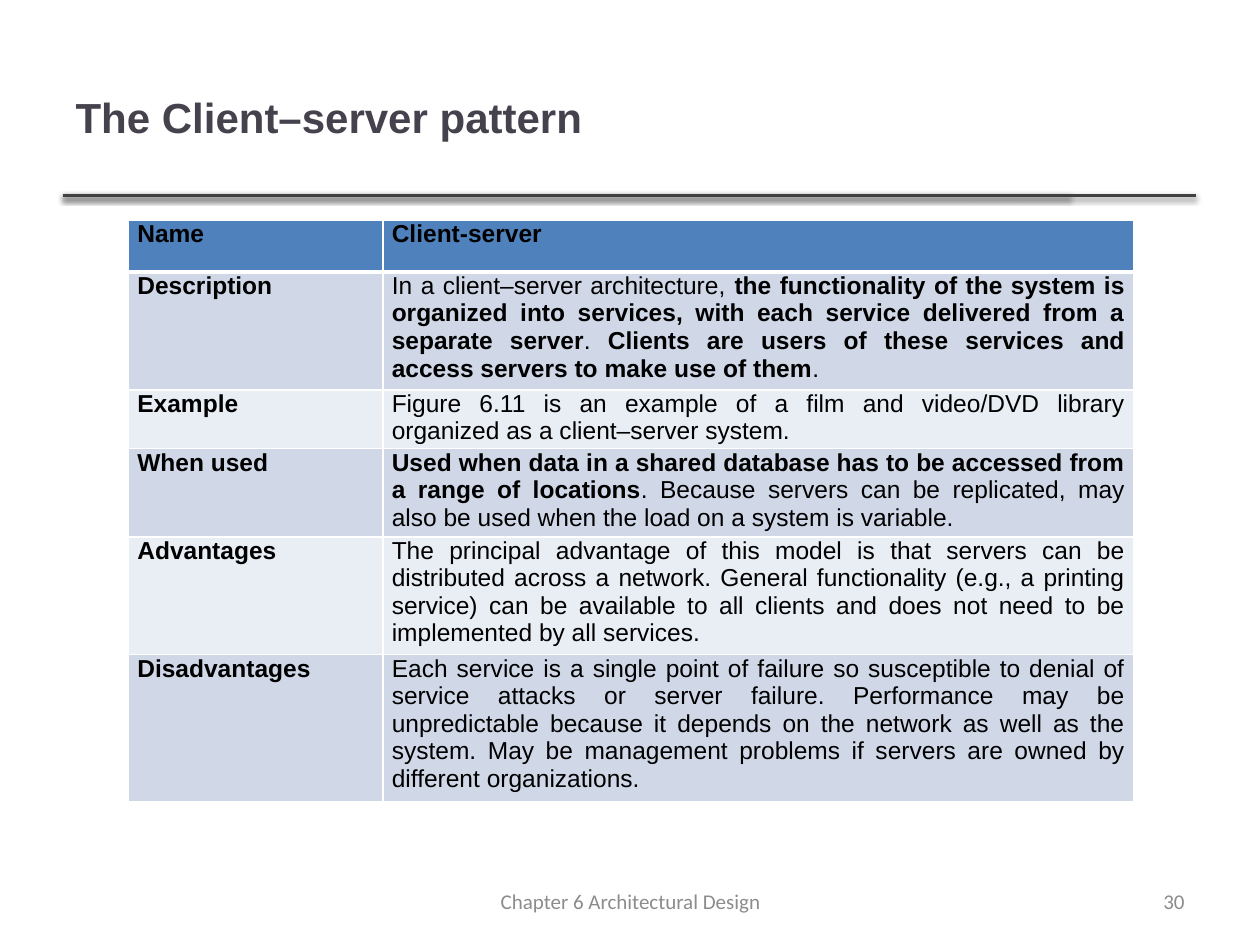
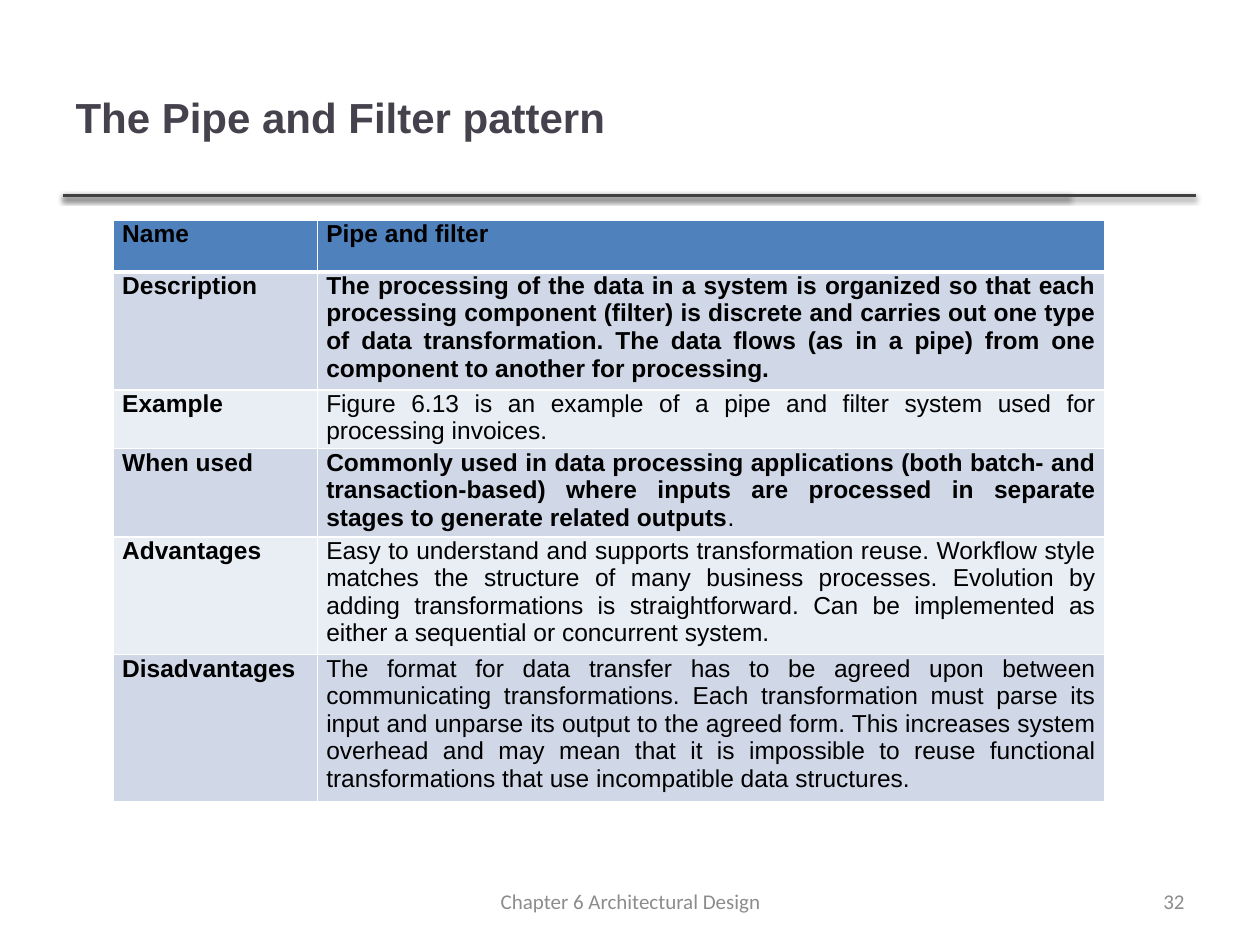
from lxml.etree import SubElement as Sub
from pptx import Presentation
from pptx.dml.color import RGBColor
from pptx.enum.shapes import MSO_CONNECTOR as Conn
from pptx.enum.text import MSO_ANCHOR as Anchor, PP_ALIGN as Align
from pptx.oxml import parse_xml
from pptx.oxml.ns import nsdecls, qn
from pptx.util import Inches, Pt

HEAD, DARK, LIGHT = "4F81BD", "D0D8E8", "E9EDF4"
LABELS = ["Name", "Description", "Example", "When used", "Advantages", "Disadvantages"]
ROWS = [0.41, 0.87, 0.44, 0.65, 0.87, 1.09]

# Text between ** marks is bold
CLIENT = [
    "**Client-server**",
    "In a client–server architecture, **the functionality of the system is organized into "
    "services, with each service delivered from a separate server**. **Clients are users of "
    "these services and access servers to make use of them**.",
    "Figure 6.11 is an example of a film and video/DVD library organized as a "
    "client–server system.",
    "**Used when data in a shared database has to be accessed from a range of locations**. "
    "Because servers can be replicated, may also be used when the load on a system is variable.",
    "The principal advantage of this model is that servers can be distributed across a network. "
    "General functionality (e.g., a printing service) can be available to all clients and does "
    "not need to be implemented by all services.",
    "Each service is a single point of failure so susceptible to denial of service attacks or "
    "server failure. Performance may be unpredictable because it depends on the network as well "
    "as the system. May be management problems if servers are owned by different organizations.",
]
PIPE = [
    "**Pipe and filter**",
    "**The processing of the data in a system is organized so that each processing component "
    "(filter) is discrete and carries out one type of data transformation. The data flows (as "
    "in a pipe) from one component to another for processing.**",
    "Figure 6.13 is an example of a pipe and filter system used for processing invoices.",
    "**Commonly used in data processing applications (both batch- and transaction-based) where "
    "inputs are processed in separate stages to generate related outputs**.",
    "Easy to understand and supports transformation reuse. Workflow style matches the structure "
    "of many business processes. Evolution by adding transformations is straightforward. Can be "
    "implemented as either a sequential or concurrent system.",
    "The format for data transfer has to be agreed upon between communicating transformations. "
    "Each transformation must parse its input and unparse its output to the agreed form. This "
    "increases system overhead and may mean that it is impossible to reuse functional "
    "transformations that use incompatible data structures.",
]


def color(code):
    return RGBColor.from_string(code)


class Deck:
    def __init__(self):
        self.prs = Presentation()
        self.prs.slide_width, self.prs.slide_height = Inches(10), Inches(7.5)

    def style(self, para, size, face, code, align):
        para.alignment = align
        font = para.font
        font.size, font.name, font.color.rgb = Pt(size), face, color(code)

    # Slide with title, rules and footer
    def start(self, title, number):
        self.slide = self.prs.slides.add_slide(self.prs.slide_layouts[5])
        for end in (8.49, 9.49):
            self.rule(end)
        self.title(title)
        self.label("Chapter 6 Architectural Design", 3.42, 3.17, Align.CENTER)
        self.label(number, 7.17, 2.33, Align.RIGHT)

    def rule(self, end):
        y = Inches(1.55)
        line = self.slide.shapes.add_connector(Conn.STRAIGHT, Inches(0.5), y, Inches(end), y)
        line.line.color.rgb, line.line.width = color("404040"), Pt(2)
        line._element.spPr.append(parse_xml(
            f'<a:effectLst {nsdecls("a")}><a:outerShdw blurRad="{Pt(3.1)}" dist="{Pt(1.6)}" '
            'dir="5400000" rotWithShape="0"><a:srgbClr val="000000"><a:alpha val="38000"/>'
            '</a:srgbClr></a:outerShdw></a:effectLst>'))

    def title(self, text):
        box = self.slide.shapes.title
        box.left, box.top = Inches(0.5), Inches(0.3)
        box.width, box.height = Inches(7.98), Inches(1.25)
        frame = box.text_frame
        frame.text, frame.vertical_anchor = text, Anchor.MIDDLE
        para = frame.paragraphs[0]
        self.style(para, 24, "Arial", "46424D", Align.LEFT)
        para.font.bold = True

    def label(self, text, left, width, align):
        box = self.slide.shapes.add_textbox(Inches(left), Inches(6.95), Inches(width), Inches(0.4))
        frame = box.text_frame
        frame.word_wrap, frame.vertical_anchor, frame.text = True, Anchor.MIDDLE, text
        self.style(frame.paragraphs[0], 12, "Calibri", "8C8C8C", align)

    # Pattern table
    def table(self, left, cols, texts):
        shape = self.slide.shapes.add_table(len(ROWS), len(cols), Inches(left), Inches(1.75),
                                            Inches(sum(cols)), Inches(sum(ROWS)))
        grid = shape.table
        grid.first_row = grid.horz_banding = False
        for col, width in zip(grid.columns, cols):
            col.width = Inches(width)
        for i, (row, height) in enumerate(zip(grid.rows, ROWS)):
            row.height = Inches(height)
            fill = HEAD if i == 0 else DARK if i % 2 else LIGHT
            for cell, text in zip(row.cells, (f"**{LABELS[i]}**", texts[i])):
                self.cell(cell, text, fill, i)

    def cell(self, cell, text, fill, row):
        cell.margin_left = cell.margin_right = Inches(0.07)
        cell.margin_top = cell.margin_bottom = 0
        cell.vertical_anchor = Anchor.TOP
        self.edges(cell, {"L": 1, "R": 1, "T": 3 if row == 1 else 1, "B": 1 if row else 3})
        cell.fill.solid()
        cell.fill.fore_color.rgb = color(fill)
        para = cell.text_frame.paragraphs[0]
        self.style(para, 14, "Arial", "000000", Align.JUSTIFY)
        for i, part in enumerate(text.split("**")):
            if part:
                run = para.add_run()
                run.text, run.font.bold = part, i % 2 == 1

    def edges(self, cell, widths):
        props = cell._tc.get_or_add_tcPr()
        for side, width in widths.items():
            line = Sub(props, qn(f"a:ln{side}"), w=str(Pt(width)))
            Sub(Sub(line, qn("a:solidFill")), qn("a:srgbClr"), val="FFFFFF")


def main():
    deck = Deck()
    deck.start("The Client–server pattern", "30")
    deck.table(1.02, [2.02, 5.96], CLIENT)
    deck.start("The Pipe and Filter pattern", "32")
    deck.table(0.9, [1.62, 6.25], PIPE)
    deck.prs.save("out.pptx")


if __name__ == "__main__":
    main()
